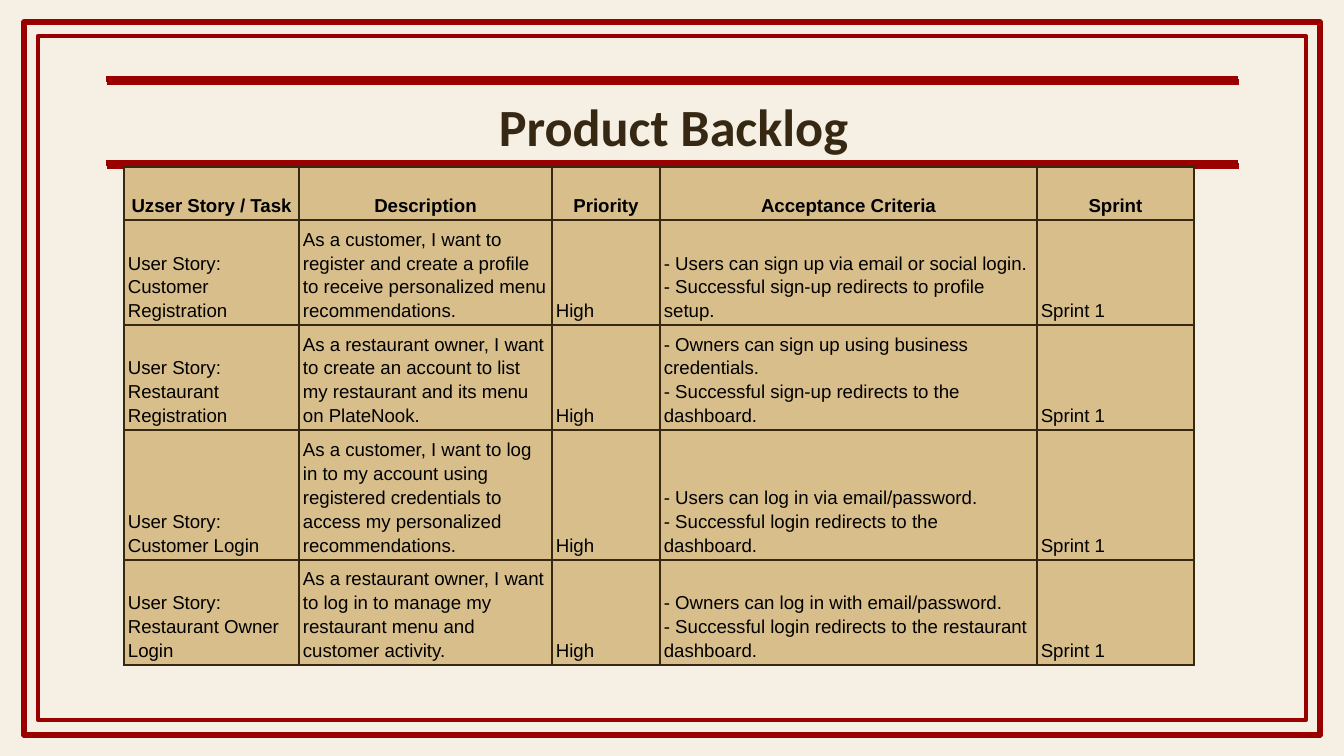
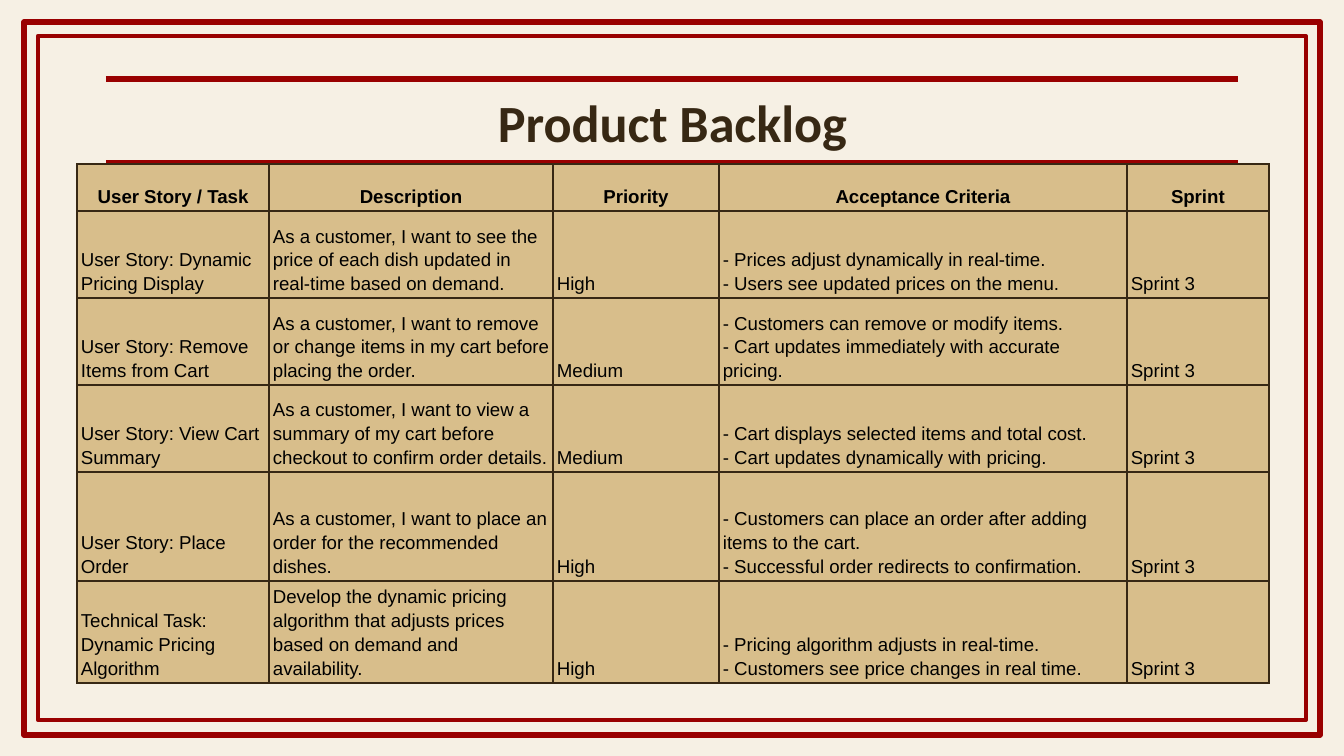
"""Builds two product backlog slides with framed titles and story tables."""
from lxml import etree
from pptx import Presentation
from pptx.dml.color import RGBColor
from pptx.enum.shapes import MSO_CONNECTOR, MSO_SHAPE
from pptx.enum.text import MSO_ANCHOR, MSO_AUTO_SIZE, PP_ALIGN
from pptx.oxml.ns import qn
from pptx.util import Emu, Pt

CREAM = RGBColor(0xF6, 0xF0, 0xE4)
RED = RGBColor(0x99, 0x00, 0x00)
BROWN = RGBColor(0x37, 0x28, 0x14)
TAN = RGBColor(0xD8, 0xBE, 0x8B)
BLACK = RGBColor(0x00, 0x00, 0x00)

RECTANGLE = MSO_SHAPE.RECTANGLE
STRAIGHT = MSO_CONNECTOR.STRAIGHT
MIDDLE, BOTTOM = MSO_ANCHOR.MIDDLE, MSO_ANCHOR.BOTTOM
LEFT, CENTER = PP_ALIGN.LEFT, PP_ALIGN.CENTER
NO_AUTOFIT = MSO_AUTO_SIZE.NONE

TITLE = "Product Backlog"
TITLE_ONLY_LAYOUT = 5
RULE_LEFT, RULE_TOP, RULE_WIDTH, RULE_GAP = 106, 79, 1132, 84

REGISTRATION_STORIES = [
    ("User Story: Customer Registration",
     "As a customer, I want to register and create a profile to receive "
     "personalized menu recommendations.",
     "High",
     "- Users can sign up via email or social login.\n"
     "- Successful sign-up redirects to profile setup."),
    ("User Story: Restaurant Registration",
     "As a restaurant owner, I want to create an account to list my "
     "restaurant and its menu on PlateNook.",
     "High",
     "- Owners can sign up using business credentials.\n"
     "- Successful sign-up redirects to the dashboard."),
    ("User Story: Customer Login",
     "As a customer, I want to log in to my account using registered "
     "credentials to access my personalized recommendations.",
     "High",
     "- Users can log in via email/password.\n"
     "- Successful login redirects to the dashboard."),
    ("User Story: Restaurant Owner Login",
     "As a restaurant owner, I want to log in to manage my restaurant menu "
     "and customer activity.",
     "High",
     "- Owners can log in with email/password.\n"
     "- Successful login redirects to the restaurant dashboard."),
]

ORDERING_STORIES = [
    ("User Story: Dynamic Pricing Display",
     "As a customer, I want to see the price of each dish updated in "
     "real-time based on demand.",
     "High",
     "- Prices adjust dynamically in real-time.\n"
     "- Users see updated prices on the menu."),
    ("User Story: Remove Items from Cart",
     "As a customer, I want to remove or change items in my cart before "
     "placing the order.",
     "Medium",
     "- Customers can remove or modify items.\n"
     "- Cart updates immediately with accurate pricing."),
    ("User Story: View Cart Summary",
     "As a customer, I want to view a summary of my cart before checkout to "
     "confirm order details.",
     "Medium",
     "- Cart displays selected items and total cost.\n"
     "- Cart updates dynamically with pricing."),
    ("User Story: Place Order",
     "As a customer, I want to place an order for the recommended dishes.",
     "High",
     "- Customers can place an order after adding items to the cart.\n"
     "- Successful order redirects to confirmation."),
    ("Technical Task: Dynamic Pricing Algorithm",
     "Develop the dynamic pricing algorithm that adjusts prices based on "
     "demand and availability.",
     "High",
     "- Pricing algorithm adjusts in real-time.\n"
     "- Customers see price changes in real time."),
]


def px(length):
    return Emu(round(length * 914400 / 134.4))


def write_text(frame, text, *, font="Arial", size=10, color=BLACK, bold=False,
               align=LEFT, spacing=1.15):
    frame.word_wrap = True
    frame.text = text
    for paragraph in frame.paragraphs:
        paragraph.alignment = align
        paragraph.line_spacing = spacing
        for run in paragraph.runs:
            run.font.name = font
            run.font.size = Pt(size)
            run.font.bold = bold
            run.font.color.rgb = color


def set_margins(target, across, down):
    target.margin_left = target.margin_right = px(across)
    target.margin_top = target.margin_bottom = px(down)


class BacklogDeck:
    def __init__(self):
        self.prs = Presentation()
        self.prs.slide_width, self.prs.slide_height = px(1344), px(756)
        background = self.prs.slide_master.background.fill
        background.solid()
        background.fore_color.rgb = CREAM
        self.slide = None

    def new_slide(self):
        layout = self.prs.slide_layouts[TITLE_ONLY_LAYOUT]
        self.slide = self.prs.slides.add_slide(layout)
        self.frame(24, 22, 1296, 713, 3)
        self.frame(38, 36, 1268, 684, 2.25)
        self.title_rules()

    def frame(self, left, top, width, height, weight):
        border = self.slide.shapes.add_shape(
            RECTANGLE, px(left), px(top), px(width), px(height))
        border.shadow.inherit = False
        border.fill.background()
        border.line.color.rgb = RED
        border.line.width = Pt(weight)

    def rule(self, left, top, width):
        rule = self.slide.shapes.add_connector(
            STRAIGHT, px(left), px(top), px(left + width), px(top))
        rule.line.color.rgb = RED
        rule.line.width = Pt(3)
        etree.SubElement(rule._element.spPr, qn("a:effectLst"))

    def title_rules(self, left=RULE_LEFT, top=RULE_TOP):
        for step in range(2):
            self.rule(left, top + step * RULE_GAP, RULE_WIDTH)

    def title(self, left, top):
        heading = self.slide.shapes.title
        heading.left, heading.top = px(left), px(top)
        heading.width, heading.height = px(1133), px(85)
        frame = heading.text_frame
        frame.auto_size = NO_AUTOFIT
        frame.vertical_anchor = MIDDLE
        set_margins(frame, 13, 13)
        write_text(frame, TITLE, font="Calibri", size=28, color=BROWN,
                   bold=True, align=CENTER, spacing=1.0)

    def cell(self, cell, text, **text_format):
        properties = cell._tc.get_or_add_tcPr()
        for side in ("a:lnL", "a:lnR", "a:lnT", "a:lnB"):
            edge = etree.SubElement(properties, qn(side), w=str(Pt(1)))
            paint = etree.SubElement(edge, qn("a:solidFill"))
            etree.SubElement(paint, qn("a:srgbClr"), val=str(BROWN))
        cell.fill.solid()
        cell.fill.fore_color.rgb = TAN
        cell.vertical_anchor = BOTTOM
        set_margins(cell, 4, 3)
        write_text(cell.text_frame, text, **text_format)

    def backlog(self, left, top, widths, heights, story_heading, stories, sprint):
        headings = (story_heading, "Description", "Priority",
                    "Acceptance Criteria", "Sprint")
        rows = [headings] + [story + (sprint,) for story in stories]
        table = self.slide.shapes.add_table(
            len(rows), len(headings), px(left), px(top),
            px(sum(widths)), px(sum(heights))).table
        table.horz_banding = False
        for column, width in zip(table.columns, widths):
            column.width = px(width)
        for index, (row, height) in enumerate(zip(table.rows, heights)):
            row.height = px(height)
            is_heading = index == 0
            for cell, text in zip(row.cells, rows[index]):
                self.cell(cell, text, bold=is_heading,
                          align=CENTER if is_heading else LEFT)


def main():
    deck = BacklogDeck()

    deck.new_slide()
    deck.title(107, 83)
    deck.title_rules(RULE_LEFT + 1, RULE_TOP + 3)
    deck.backlog(124, 167, (175, 253, 108, 377, 157),
                 (53, 105, 105, 130, 105), "Uzser Story / Task",
                 REGISTRATION_STORIES, "Sprint 1")

    deck.new_slide()
    deck.title(106, 79)
    deck.backlog(77, 164, (192, 284, 166, 408, 142),
                 (47, 87, 87, 87, 109, 87), "User Story / Task",
                 ORDERING_STORIES, "Sprint 3")

    deck.prs.save("out.pptx")


if __name__ == "__main__":
    main()
